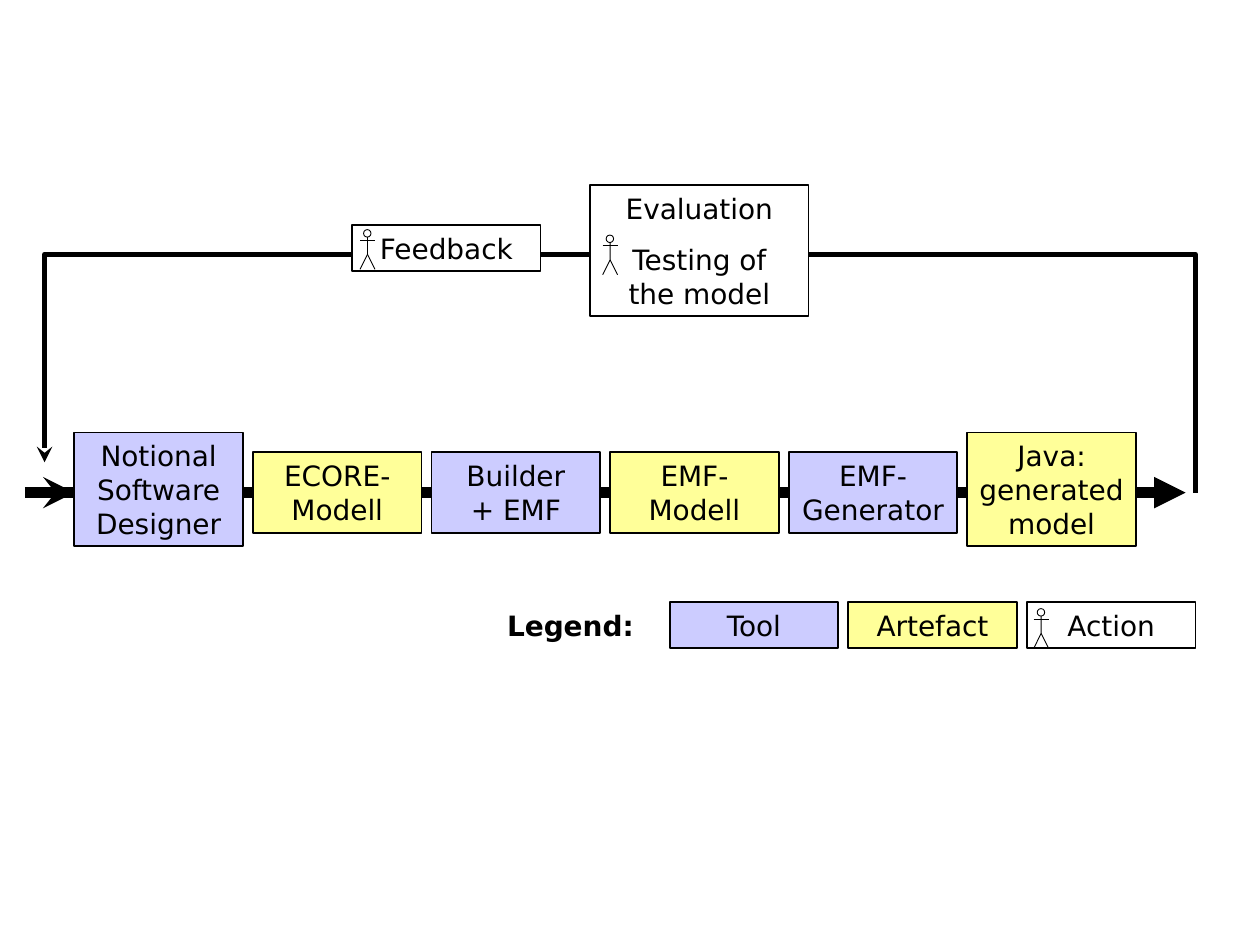
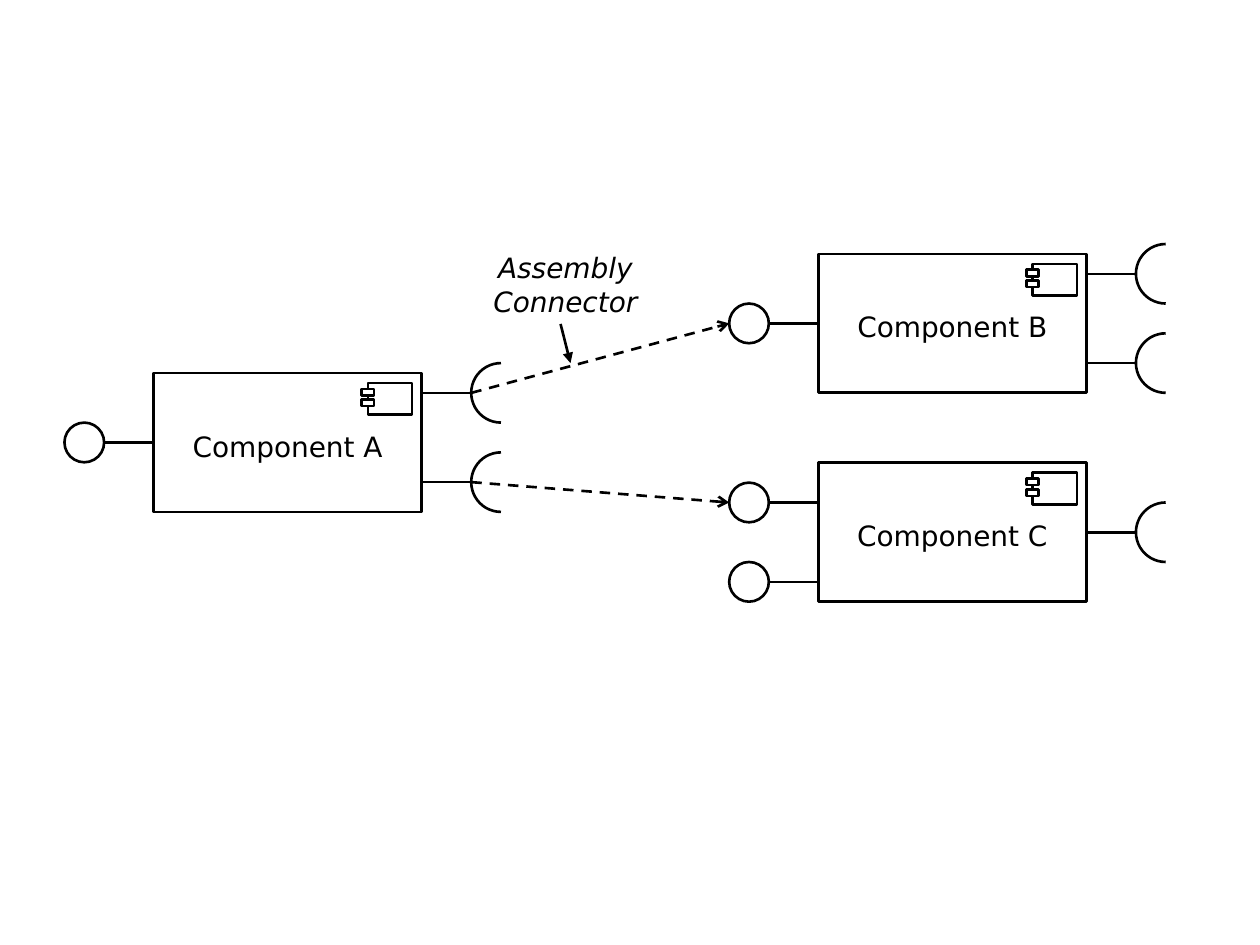
"""Build two diagram slides: a model-driven tool chain and an assembly of components."""
import lxml.etree
import pptx
import pptx.dml.color
import pptx.enum.dml
import pptx.enum.shapes
import pptx.enum.text
import pptx.oxml.ns
import pptx.util

Cm = pptx.util.Cm
Pt = pptx.util.Pt
SHAPE = pptx.enum.shapes.MSO_SHAPE
STRAIGHT = pptx.enum.shapes.MSO_CONNECTOR.STRAIGHT

BLACK = pptx.dml.color.RGBColor(0x00, 0x00, 0x00)
WHITE = pptx.dml.color.RGBColor(0xFF, 0xFF, 0xFF)
TOOL = pptx.dml.color.RGBColor(0xCC, 0xCC, 0xFF)
ARTEFACT = pptx.dml.color.RGBColor(0xFF, 0xFF, 0x99)
FONT = "DejaVu Sans"


def style_shape(shape, width, fill=None, arrow=None):
    """Set the outline, the fill and the arrowhead, without a shadow."""
    if width:
        shape.line.color.rgb = BLACK
        shape.line.width = Pt(width)
    else:
        shape.line.fill.background()
    if arrow:
        line = shape.line._get_or_add_ln()
        lxml.etree.SubElement(line, pptx.oxml.ns.qn("a:tailEnd"), type=arrow)
    lxml.etree.SubElement(shape.element.spPr, pptx.oxml.ns.qn("a:effectLst"))
    if hasattr(shape, "fill"):
        if fill is None:
            shape.fill.background()
        else:
            shape.fill.solid()
            shape.fill.fore_color.rgb = fill


def write_text(shape, text, inset=0.25, bold=False, italic=False):
    """Write centred black text that starts at the top of the shape."""
    frame = shape.text_frame
    frame.text = text
    frame.word_wrap = True
    frame.vertical_anchor = pptx.enum.text.MSO_ANCHOR.TOP
    frame.margin_left = frame.margin_right = Cm(inset)
    frame.margin_top = frame.margin_bottom = Cm(0.13)
    for index, paragraph in enumerate(frame.paragraphs):
        paragraph.alignment = pptx.enum.text.PP_ALIGN.CENTER
        paragraph.space_before = Pt(10 if index else 0)
        for run in paragraph.runs:
            run.font.name = FONT
            run.font.size = Pt(16)
            run.font.bold = bold
            run.font.italic = italic
            run.font.color.rgb = BLACK


presentation = pptx.Presentation()
presentation.slide_width = Cm(25.4)
presentation.slide_height = Cm(19.05)
blank_layout = presentation.slide_layouts[6]

slide = presentation.slides.add_slide(blank_layout)
flow_y = 9.93
for start, end, arrow in [(0.7, 23.9, "triangle"), (0.5, 1.5, "stealth")]:
    flow = slide.shapes.add_connector(STRAIGHT, Cm(start), Cm(flow_y), Cm(end), Cm(flow_y))
    style_shape(flow, 6, arrow=arrow)

loop_y = 5.13
builder = slide.shapes.build_freeform(Cm(24.1), Cm(flow_y))
builder.add_line_segments(
    [(Cm(24.1), Cm(loop_y)), (Cm(0.9), Cm(loop_y)), (Cm(0.9), Cm(9.32))], close=False
)
style_shape(builder.convert_to_shape(), 3, arrow="stealth")

box_width, box_pitch = 3.4, 3.6
chain = [
    ("Notional\vSoftware\vDesigner", 8.72, 2.29, 0.25),
    ("ECORE-Modell", 9.12, 1.62, 0.25),
    ("Builder\v+ EMF", 9.12, 1.62, 0.25),
    ("EMF-Modell", 9.12, 1.62, 0.25),
    ("EMF-\vGenerator", 9.12, 1.62, 0.25),
    ("Java: generated model", 8.72, 2.29, 0.15),
]
boxes = [
    (text, 1.5 + index * box_pitch, top, box_width, height, (TOOL, ARTEFACT)[index % 2], inset)
    for index, (text, top, height, inset) in enumerate(chain)
]
legend_top = 12.14
legend = [("Tool", TOOL), ("Artefact", ARTEFACT), ("Action", WHITE)]
boxes += [
    (text, 13.5 + index * box_pitch, legend_top, box_width, 0.93, fill, 0.25)
    for index, (text, fill) in enumerate(legend)
]
boxes += [
    ("Evaluation\nTesting of\vthe model", 11.9, 3.73, 4.4, 2.64, WHITE, 0.15),
    ("Feedback", 7.1, 4.54, 3.8, 0.93, WHITE, 0.25),
]
for text, left, top, width, height, fill, inset in boxes:
    box = slide.shapes.add_shape(SHAPE.RECTANGLE, Cm(left), Cm(top), Cm(width), Cm(height))
    style_shape(box, 1, fill)
    write_text(box, text, inset)

legend_title = slide.shapes.add_textbox(Cm(9.7), Cm(legend_top), Cm(3.6), Cm(0.93))
write_text(legend_title, "Legend:", bold=True)

for left, top in [(20.84, 12.27), (12.15, 4.74), (7.26, 4.63)]:
    head = slide.shapes.add_shape(SHAPE.OVAL, Cm(left + 0.07), Cm(top), Cm(0.15), Cm(0.15))
    style_shape(head, 0.5, WHITE)
    middle, right, hip, feet = left + 0.15, left + 0.3, top + 0.5, top + 0.8
    strokes = [
        [(left, top + 0.21), (right, top + 0.21)],
        [(middle, hip), (right, feet)],
        [(middle, top + 0.15), (middle, hip), (left, feet)],
    ]
    builder = slide.shapes.build_freeform(Cm(left), Cm(top + 0.21))
    for index, stroke in enumerate(strokes):
        points = [(Cm(x), Cm(y)) for x, y in stroke]
        if index:
            builder.move_to(*points[0])
        builder.add_line_segments(points[1:], close=False)
    style_shape(builder.convert_to_shape(), 0.5)

slide = presentation.slides.add_slide(blank_layout)
component_width, component_height = 5.4, 2.8
stem, circle_size, socket_radius = 1, 0.8, 0.6
components = [
    ("Component A", 3.1, 7.52, [1.4], [0.4, 2.2]),
    ("Component B", 16.5, 5.12, [1.4], [0.4, 2.2]),
    ("Component C", 16.5, 9.33, [0.8, 2.4], [1.4]),
]
for name, left, top, provided, required in components:
    label = slide.shapes.add_shape(
        SHAPE.RECTANGLE, Cm(left), Cm(top + 1), Cm(component_width), Cm(0.93)
    )
    style_shape(label, 0, WHITE)
    write_text(label, name, 0.15)
    parts = [
        (4.32, 0.2, 0.89, 0.64, WHITE),
        (4.19, 0.32, 0.25, 0.13, WHITE),
        (4.19, 0.54, 0.25, 0.13, WHITE),
        (0, 0, component_width, component_height, None),
    ]
    for x, y, width, height, fill in parts:
        part = slide.shapes.add_shape(
            SHAPE.RECTANGLE, Cm(left + x), Cm(top + y), Cm(width), Cm(height)
        )
        style_shape(part, 1.5, fill)

    right = left + component_width
    stems = [(left - stem, top + y) for y in provided] + [(right, top + y) for y in required]
    for x, y in stems:
        line = slide.shapes.add_connector(STRAIGHT, Cm(x), Cm(y), Cm(x + stem), Cm(y))
        style_shape(line, 1.5)
    for y in provided:
        circle = slide.shapes.add_shape(
            SHAPE.OVAL, Cm(left - stem - circle_size), Cm(top + y - circle_size / 2),
            Cm(circle_size), Cm(circle_size)
        )
        style_shape(circle, 1.5)
    for y in required:
        socket = slide.shapes.add_shape(
            SHAPE.ARC, Cm(right + stem), Cm(top + y - socket_radius),
            Cm(2 * socket_radius), Cm(2 * socket_radius)
        )
        socket.adjustments[0] = 54
        socket.adjustments[1] = 162
        style_shape(socket, 1.5)

source, *targets = components
socket_x = source[1] + component_width + stem
for socket_y, (name, left, top, provided, required) in zip(source[4], targets):
    assembly = slide.shapes.add_connector(
        STRAIGHT, Cm(socket_x), Cm(source[2] + socket_y),
        Cm(left - stem - circle_size), Cm(top + provided[0])
    )
    style_shape(assembly, 1.5, arrow="arrow")
    assembly.line.dash_style = pptx.enum.dml.MSO_LINE.DASH

caption = slide.shapes.add_textbox(Cm(9.5), Cm(4.93), Cm(3.8), Cm(2))
write_text(caption, "Assembly\vConnector", 0, italic=True)
pointer = slide.shapes.add_connector(STRAIGHT, Cm(11.3), Cm(6.53), Cm(11.5), Cm(7.32))
style_shape(pointer, 1.5, arrow="triangle")

presentation.save("out.pptx")
